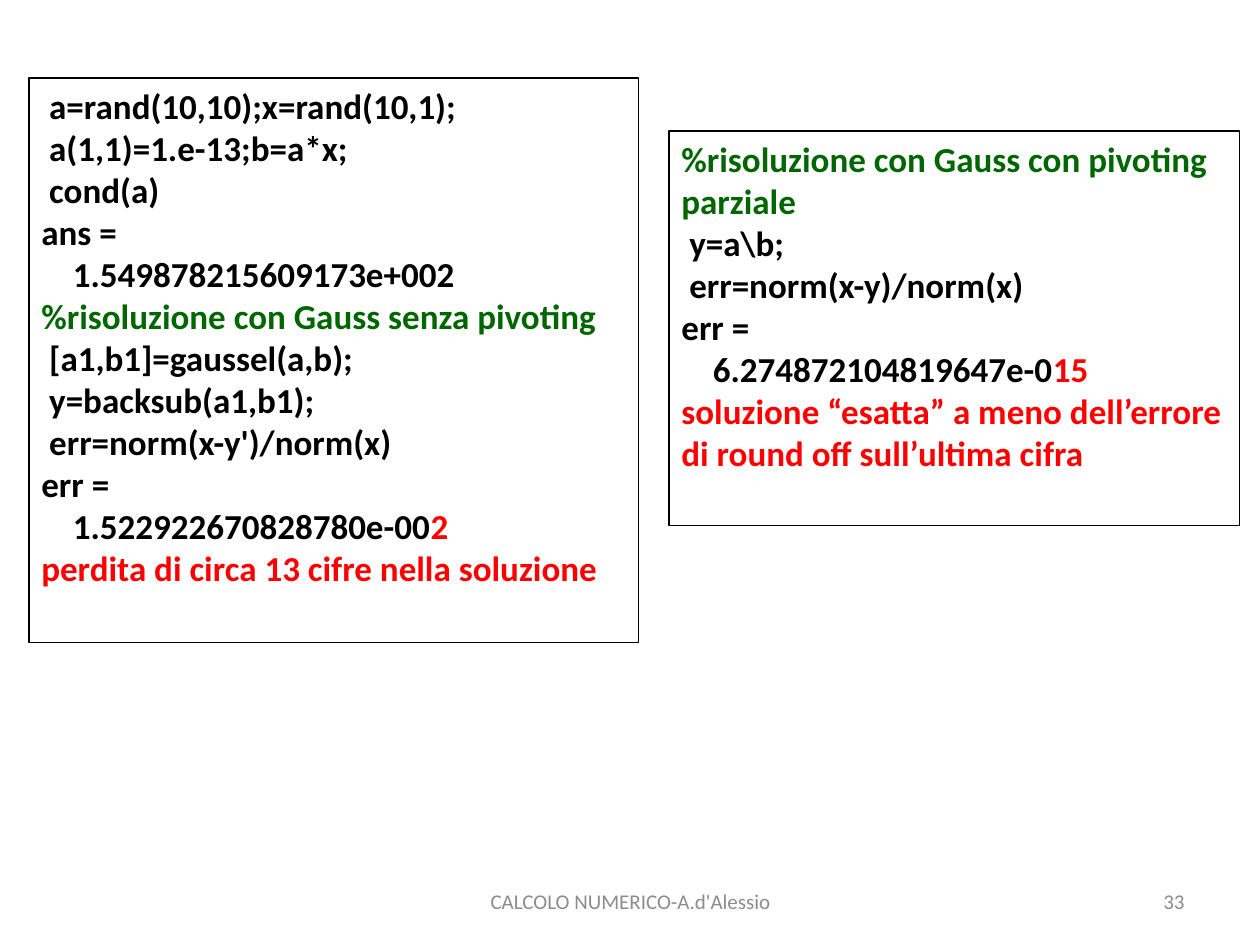
from pptx import Presentation
from pptx.dml.color import RGBColor
from pptx.enum.shapes import MSO_SHAPE as Shape
from pptx.enum.text import MSO_ANCHOR as Anchor, MSO_AUTO_SIZE as AutoSize, PP_ALIGN as Align
from pptx.util import Inches, Pt

COLORS = {"code": "000000", "comment": "006600", "result": "FF0000", "footer": "8C8C8C"}
FONT = "Calibri"
COLUMNS, ROWS = 100, 75
SPACE = Pt(4.5)  # width of one space in the code text

deck = Presentation()
deck.slide_width, deck.slide_height = Inches(10), Inches(7.5)


def place(box):
    """Turn left, top, width, height in grid units into slide lengths."""
    column, row = deck.slide_width / COLUMNS, deck.slide_height / ROWS
    return [round(share * unit) for share, unit in zip(box, (column, row) * 2)]


def color(name):
    return RGBColor.from_string(COLORS[name])


def set_font(font, size, bold=False):
    font.name, font.size, font.bold = FONT, Pt(size), bold


def add_listing(page, box, lines):
    """Framed listing; each line is an indent in spaces, then (colour, text) spans."""
    frame = page.shapes.add_shape(Shape.RECTANGLE, *place(box))
    frame.shadow.inherit = False
    frame.fill.background()
    frame.line.color.rgb = color("code")
    frame.line.width = Pt(0.75)
    text = frame.text_frame
    text.word_wrap = True
    text.auto_size = AutoSize.NONE
    text.vertical_anchor = Anchor.TOP
    for number, (indent, *spans) in enumerate(lines):
        para = text.add_paragraph() if number else text.paragraphs[0]
        para.alignment = Align.LEFT
        para._p.get_or_add_pPr().set("marL", str(indent * SPACE))
        set_font(para.font, 20, bold=True)
        for name, words in spans:
            span = para.add_run()
            span.text = words
            span.font.color.rgb = color(name)


def add_footer(page, box, words, alignment):
    text = page.shapes.add_textbox(*place(box)).text_frame
    text.word_wrap = True
    text.vertical_anchor = Anchor.MIDDLE
    para = text.paragraphs[0]
    para.text = words
    para.alignment = alignment
    set_font(para.font, 12)
    para.font.color.rgb = color("footer")


WITHOUT_PIVOTING = [
    (1, ("code", "a=rand(10,10);x=rand(10,1);")),
    (1, ("code", "a(1,1)=1.e-13;b=a*x;")),
    (1, ("code", "cond(a)")),
    (0, ("code", "ans =")),
    (4, ("code", "1.549878215609173e+002")),
    (0, ("comment", "%risoluzione con Gauss senza pivoting")),
    (1, ("code", "[a1,b1]=gaussel(a,b);")),
    (1, ("code", "y=backsub(a1,b1);")),
    (1, ("code", "err=norm(x-y')/norm(x)")),
    (0, ("code", "err =")),
    (4, ("code", "1.522922670828780e-00"), ("result", "2")),
    (0, ("result", "perdita di circa 13 cifre nella soluzione")),
]
PARTIAL_PIVOTING = [
    (0, ("comment", "%risoluzione con Gauss con pivoting parziale")),
    (1, ("code", "y=a\\b;")),
    (1, ("code", "err=norm(x-y)/norm(x)")),
    (0, ("code", "err =")),
    (4, ("code", "6.274872104819647e-0"), ("result", "15")),
    (0, ("result", "soluzione “esatta” a meno dell’errore")),
    (0, ("result", "di round off sull’ultima cifra")),
]

page = deck.slides.add_slide(deck.slide_layouts[6])

# Footer and page number
add_footer(page, (34.2, 69.5, 31.7, 4), "CALCOLO NUMERICO-A.d'Alessio", Align.CENTER)
add_footer(page, (71.7, 69.5, 23.3, 4), "33", Align.RIGHT)

# The two solutions side by side
add_listing(page, (2.3, 6.2, 48.4, 44.8), WITHOUT_PIVOTING)
add_listing(page, (53.1, 10.4, 45.3, 31.3), PARTIAL_PIVOTING)

deck.save("out.pptx")
